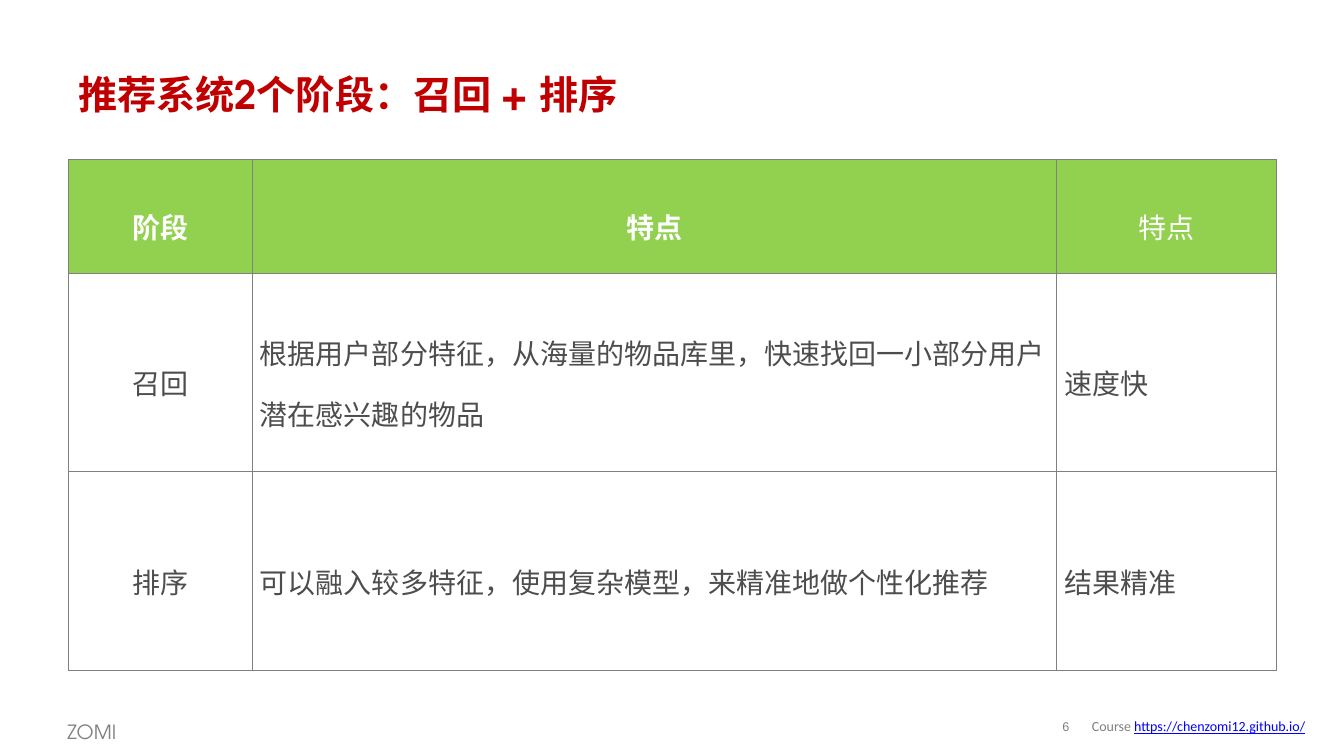
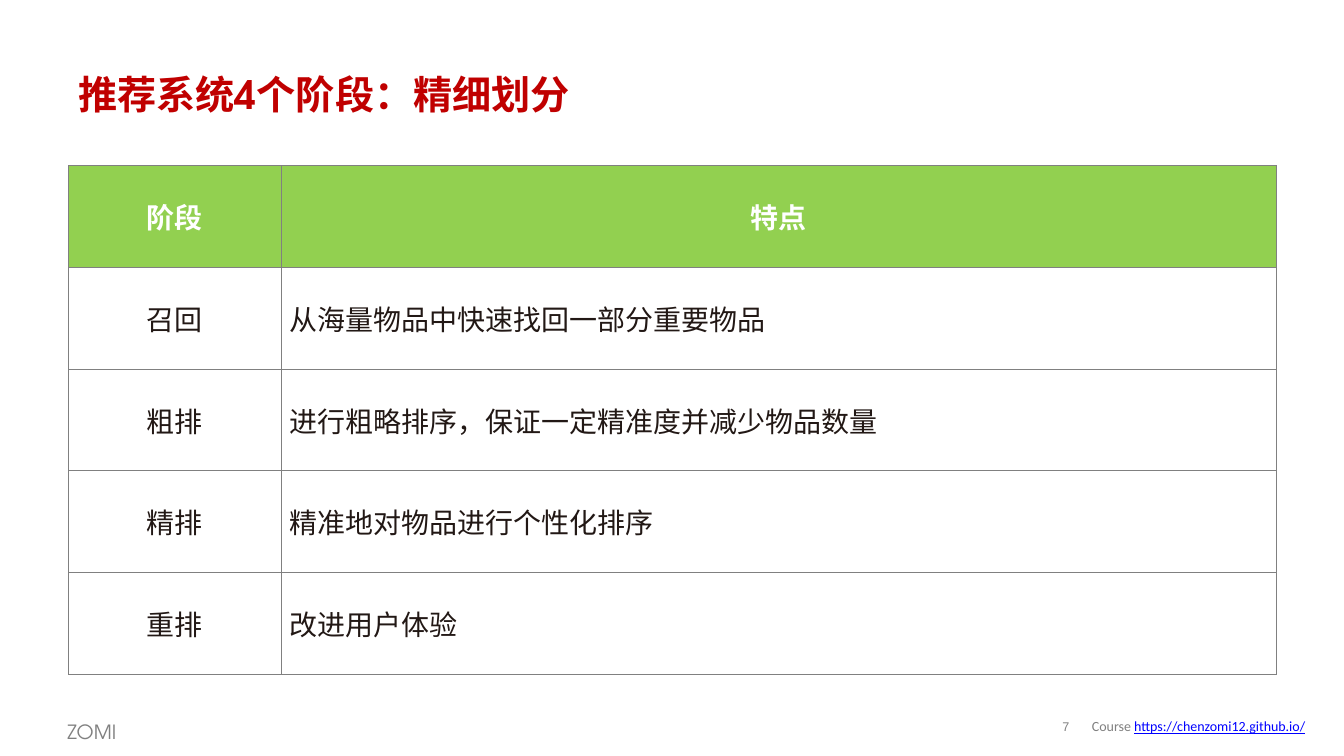
"""Build two slides on the stages of a recommender system."""
from dataclasses import dataclass

from lxml.etree import SubElement
from pptx import Presentation
from pptx.dml.color import RGBColor as RGB
from pptx.enum.text import MSO_ANCHOR as Anchor, PP_ALIGN as Align
from pptx.oxml.ns import qn
from pptx.util import Inches, Pt


@dataclass(frozen=True)
class Theme:
    title: RGB = RGB(0xC0, 0x00, 0x00)
    header: RGB = RGB(0x92, 0xD0, 0x50)
    white: RGB = RGB(0xFF, 0xFF, 0xFF)
    grey: RGB = RGB(0x80, 0x80, 0x80)
    link: RGB = RGB(0x00, 0x00, 0xFF)
    body_grey: RGB = RGB(0x4D, 0x4D, 0x4D)
    body_dark: RGB = RGB(0x22, 0x18, 0x15)
    title_font: str = "TeX Gyre Adventor"
    text_font: str = "Calibri"
    body_font: str = "Roboto"
    number_font: str = "Arial"
    title_size: float = 28
    table_size: float = 20
    author_size: float = 14
    course_size: float = 10
    number_size: float = 9
    border: float = 0.5


T = Theme()
LEFT, WIDTH = 0.68, 11.99
CELL_PAD = 0.08


@dataclass(frozen=True)
class Style:
    font: str
    size: float
    color: RGB
    bold: bool = False
    underline: bool = False


@dataclass(frozen=True)
class Box:
    left: float
    top: float
    width: float
    height: float
    anchor: Anchor = Anchor.MIDDLE
    align: Align = Align.LEFT
    spacing: float = 1.0
    inset: bool = True
    wrap: bool = True


@dataclass(frozen=True)
class StageSlide:
    number: int
    title: str
    top: float
    cols: tuple[float, ...]
    row_heights: tuple[float, ...]
    rows: tuple[tuple[str, ...], ...]
    body: Style
    spacing: float = 1.0
    bold_headers: int = 2


TITLE = Style(T.title_font, T.title_size, T.title, bold=True)
AUTHOR = Style(T.title_font, T.author_size, T.grey)
COURSE = Style(T.text_font, T.course_size, T.grey)
LINK = Style(T.text_font, T.course_size, T.link, underline=True)
NUMBER = Style(T.number_font, T.number_size, T.grey)

TITLE_BOX = Box(LEFT, 0.61, WIDTH, 0.64)
NUMBER_BOX = Box(10.4, 7.06, 0.36, 0.31, align=Align.CENTER, spacing=0.85, inset=False)
AUTHOR_BOX = Box(0.57, 7.05, 0.8, 0.36, anchor=Anchor.TOP, spacing=1.2, wrap=False)
COURSE_BOX = Box(10.74, 7.06, 2.46, 0.29)

SLIDES = (
    StageSlide(
        6, "推荐系统2个阶段：召回 + 排序", 1.58, (1.82, 7.99, 2.18), (1.13, 1.97, 1.97),
        (("阶段", "特点", "特点"),
         ("召回", "根据用户部分特征，从海量的物品库里，快速找回一小部分用户潜在感兴趣的物品", "速度快"),
         ("排序", "可以融入较多特征，使用复杂模型，来精准地做个性化推荐", "结果精准")),
        Style(T.body_font, T.table_size, T.body_grey), spacing=1.5),
    StageSlide(
        7, "推荐系统4个阶段：精细划分", 1.64, (2.11, 9.88), (1.01,) * 5,
        (("阶段", "特点"),
         ("召回", "从海量物品中快速找回一部分重要物品"),
         ("粗排", "进行粗略排序，保证一定精准度并减少物品数量"),
         ("精排", "精准地对物品进行个性化排序"),
         ("重排", "改进用户体验")),
        Style(T.text_font, T.table_size, T.body_dark)),
)


def style_run(r, style: Style) -> None:
    f = r.font
    f.name, f.size, f.bold = style.font, Pt(style.size), style.bold
    f.color.rgb = style.color
    if style.underline:
        f.underline = True


def add_text(s, box: Box, *runs: tuple[str, Style]) -> None:
    sp = s.shapes.add_textbox(*map(Inches, (box.left, box.top, box.width, box.height)))
    tf = sp.text_frame
    tf.word_wrap, tf.vertical_anchor = box.wrap, box.anchor
    if not box.inset:
        tf.margin_left = tf.margin_right = tf.margin_top = tf.margin_bottom = 0
    p = tf.paragraphs[0]
    p.alignment, p.line_spacing = box.align, box.spacing
    for text, style in runs:
        r = p.add_run()
        r.text = text
        style_run(r, style)


def add_borders(cell) -> None:
    tc_pr = cell._tc.get_or_add_tcPr()
    for i, side in enumerate(("lnL", "lnR", "lnT", "lnB")):
        ln = SubElement(tc_pr, qn(f"a:{side}"), w=str(Pt(T.border)))
        SubElement(SubElement(ln, qn("a:solidFill")), qn("a:srgbClr"), val=str(T.grey))
        tc_pr.insert(i, ln)


def fill_cell(cell, text: str, style: Style, align: Align, spacing: float) -> None:
    cell.margin_left = cell.margin_right = Inches(CELL_PAD)
    cell.margin_top = cell.margin_bottom = Inches(CELL_PAD)
    cell.vertical_anchor = Anchor.MIDDLE
    p = cell.text_frame.paragraphs[0]
    p.text = text
    p.alignment, p.line_spacing = align, spacing
    style_run(p.runs[0], style)
    add_borders(cell)


def add_stage_table(s, data: StageSlide) -> None:
    table = s.shapes.add_table(
        len(data.rows), len(data.cols), Inches(LEFT), Inches(data.top),
        Inches(WIDTH), Inches(sum(data.row_heights))).table
    table.horz_banding = False
    for col, width in zip(table.columns, data.cols):
        col.width = Inches(width)
    for row, height in zip(table.rows, data.row_heights):
        row.height = Inches(height)
    for i, texts in enumerate(data.rows):
        for j, text in enumerate(texts):
            cell = table.cell(i, j)
            if i == 0:
                cell.fill.solid()
                cell.fill.fore_color.rgb = T.header
                style = Style(T.text_font, T.table_size, T.white, bold=j < data.bold_headers)
            else:
                cell.fill.background()
                style = data.body
            align = Align.CENTER if i == 0 or j == 0 else Align.LEFT
            fill_cell(cell, text, style, align, data.spacing)


def add_frame(s, data: StageSlide) -> None:
    add_text(s, NUMBER_BOX, (str(data.number), NUMBER))
    add_text(s, AUTHOR_BOX, ("ZOMI", AUTHOR))
    add_text(s, COURSE_BOX, ("Course ", COURSE), ("https://chenzomi12.github.io/", LINK))
    add_text(s, TITLE_BOX, (data.title, TITLE))


def main() -> None:
    prs = Presentation()
    prs.slide_width, prs.slide_height = Inches(13.34), Inches(7.5)
    for data in SLIDES:
        s = prs.slides.add_slide(prs.slide_layouts[6])
        add_frame(s, data)
        add_stage_table(s, data)
    prs.save("out.pptx")


if __name__ == "__main__":
    main()
